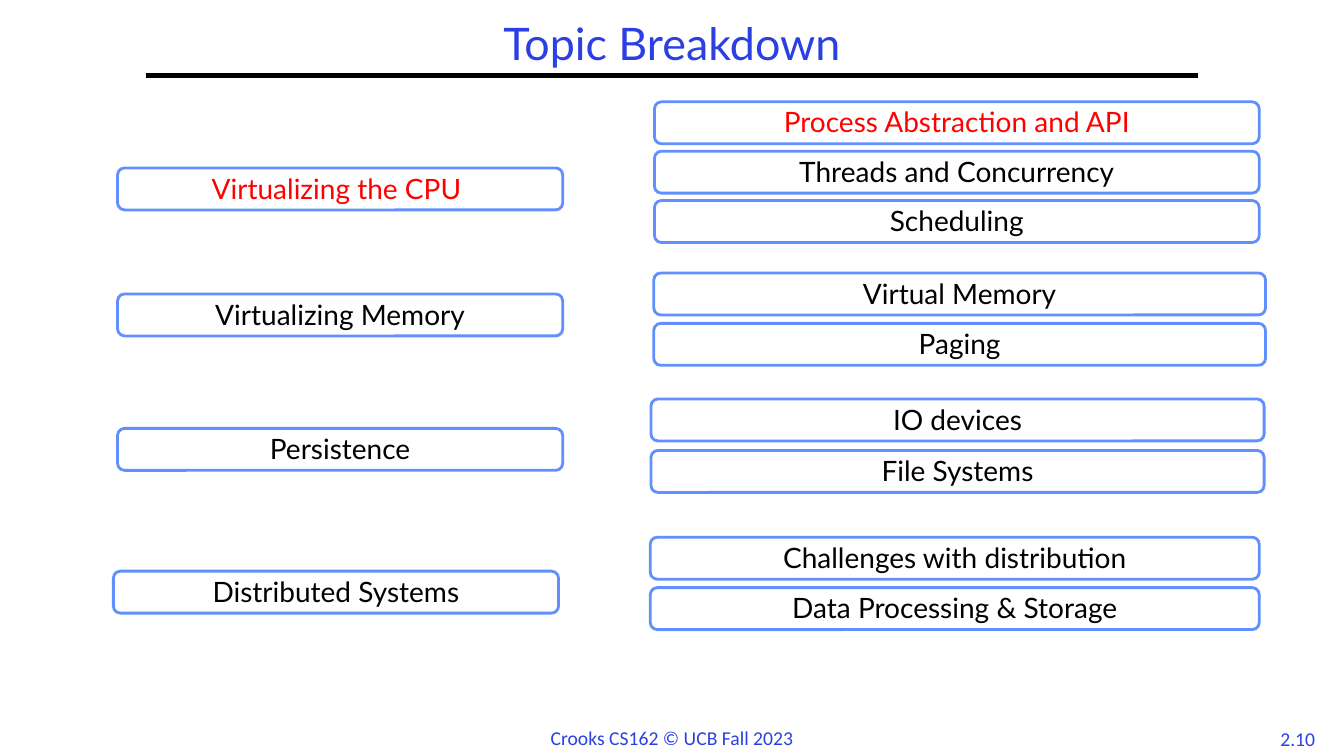
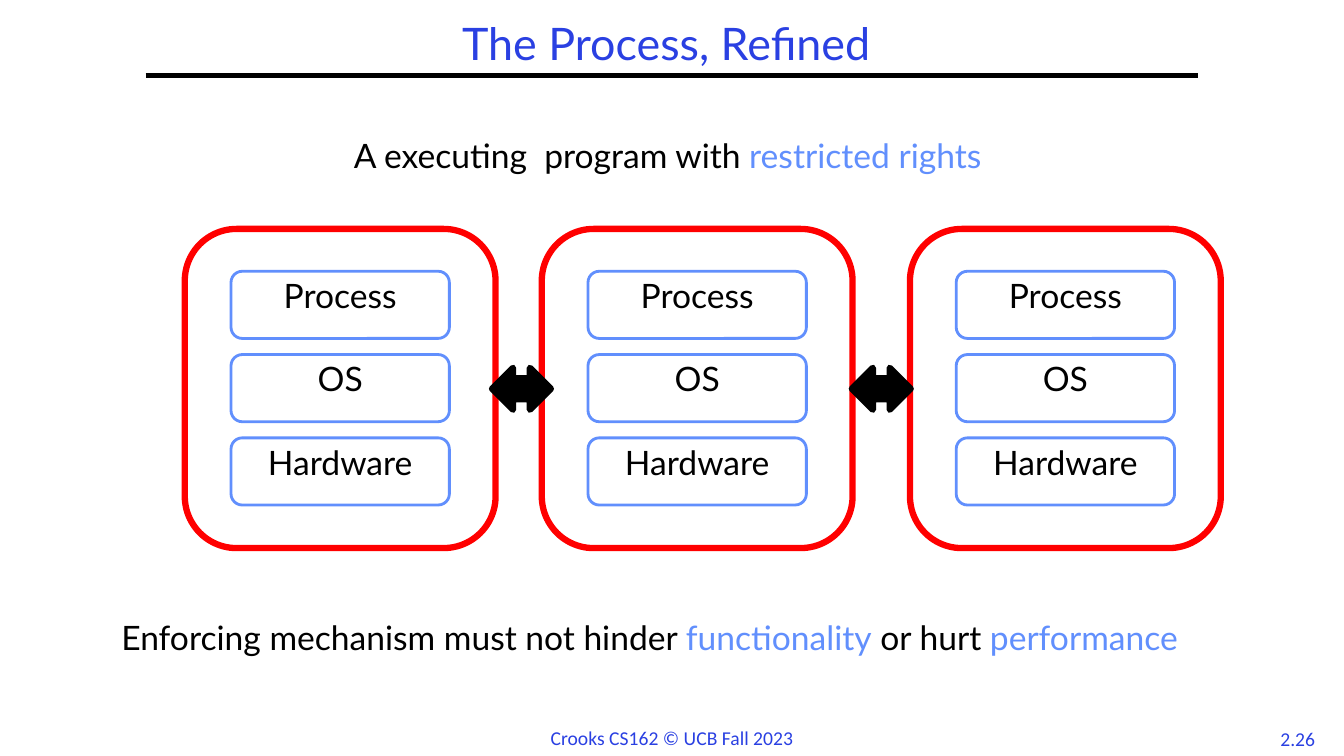
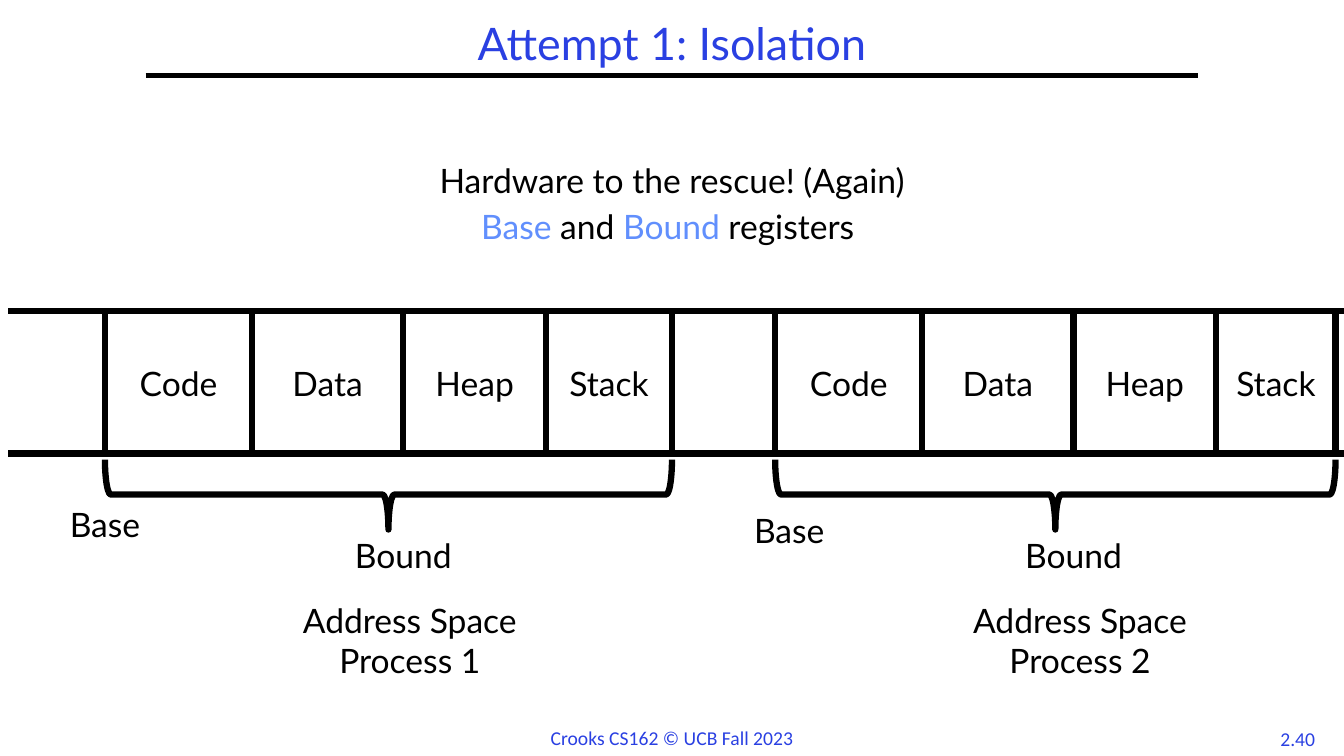
from itertools import pairwise

from pptx import Presentation
from pptx.dml.color import RGBColor
from pptx.enum.shapes import MSO_CONNECTOR, MSO_SHAPE as Preset
from pptx.enum.text import MSO_ANCHOR as Anchor, PP_ALIGN as Align
from pptx.oxml.ns import qn
from pptx.util import Pt
from lxml.etree import SubElement

COLORS = {
    "ink": "000000",
    "paper": "FFFFFF",
    "title": "2A40E2",
    "accent": "618FFD",
    "alert": "FF0000",
}


def rgb(name):
    return RGBColor.from_string(COLORS[name])


class Deck:
    """Holds the lecture style and the slide being built."""

    heading_font = "Lato"
    footer_font = "Calibri"
    footer = "Crooks CS162 © UCB Fall 2023"

    def __init__(self, width, height):
        self.prs = Presentation()
        self.prs.slide_width, self.prs.slide_height = Pt(width), Pt(height)
        self.slide = None

    def new_slide(self, title, number):
        self.slide = self.prs.slides.add_slide(self.prs.slide_layouts[6])
        self.line(104, 54, 856, 54, 3)
        self.text(104, 12, 752, 42, [title], size=32, color="title", anchor=Anchor.MIDDLE)
        for left, top, width, words in ((385, 515, 190, self.footer), (906, 515.5, 42, number)):
            self.text(left, top, width, 24, [words], size=14, color="title",
                      font=self.footer_font, spacing=1, wrap=False)

    def fill_text(self, frame, paragraphs, size=24, color="ink", font=heading_font,
                  spacing=0.9, gap=0, anchor=Anchor.TOP, wrap=True):
        """A paragraph is a string, or a list of (text, colour) pairs."""
        frame.word_wrap = wrap
        frame.vertical_anchor = anchor
        for index, content in enumerate(paragraphs):
            paragraph = frame.add_paragraph() if index else frame.paragraphs[0]
            paragraph.alignment = Align.CENTER
            paragraph.line_spacing = spacing
            paragraph.space_before = Pt(gap if index else 0)
            paragraph.font.name, paragraph.font.size = font, Pt(size)
            pairs = [(content, color)] if isinstance(content, str) else content
            for words, run_color in pairs:
                run = paragraph.add_run()
                run.text = words
                run.font.color.rgb = rgb(run_color)

    def text(self, left, top, width, height, paragraphs, **style):
        box = self.slide.shapes.add_textbox(Pt(left), Pt(top), Pt(width), Pt(height))
        self.fill_text(box.text_frame, paragraphs, **style)

    def label(self, center, top, paragraphs, **style):
        width = 140
        self.text(center - width / 2, top, width, 36, paragraphs, **style)

    def shape(self, preset, left, top, width, height, outline, weight, fill="paper"):
        shape = self.slide.shapes.add_shape(preset, Pt(left), Pt(top), Pt(width), Pt(height))
        shape.shadow.inherit = False
        shape.fill.solid()
        shape.fill.fore_color.rgb = rgb(fill)
        shape.line.color.rgb = rgb(outline)
        shape.line.width = Pt(weight)
        return shape

    def box(self, left, top, width, height, words, **style):
        box = self.shape(Preset.ROUNDED_RECTANGLE, left, top, width, height, "accent", 2)
        self.fill_text(box.text_frame, [words], **style)

    def line(self, x1, y1, x2, y2, weight=4.5):
        line = self.slide.shapes.add_connector(
            MSO_CONNECTOR.STRAIGHT, Pt(x1), Pt(y1), Pt(x2), Pt(y2))
        line.line.color.rgb = rgb("ink")
        line.line.width = Pt(weight)
        SubElement(line._element.spPr, qn("a:effectLst"))

    def brace_below(self, start, end, top, depth):
        """A left brace turned to point down, spanning start to end."""
        span = end - start
        brace = self.shape(Preset.LEFT_BRACE, (start + end - depth) / 2,
                           top + (depth - span) / 2, depth, span, "ink", 4.5)
        brace.rotation = 270


def topic_breakdown(deck):
    deck.new_slide("Topic Breakdown", "2.10")
    current = {"Virtualizing the CPU ", "Process Abstraction and API"}

    # Topic, its left and top; then left, width, first top and pitch of its parts
    topics = [
        ("Virtualizing the CPU ", 84, 120, 467.5, 432, 72.75, 35.25,
         ["Process Abstraction and API", "Threads and Concurrency", "Scheduling"]),
        ("Virtualizing Memory", 84, 210, 467, 437, 195, 36, ["Virtual Memory", "Paging"]),
        ("Persistence", 84, 306, 465, 438, 285, 36.75, ["IO devices", "File Systems"]),
        ("Distributed Systems", 81, 408, 464.5, 435, 383.75, 36,
         ["Challenges with distribution", "Data Processing & Storage"]),
    ]
    for topic, left, top, part_left, part_width, first_top, pitch, parts in topics:
        entries = [(topic, left, top, 318)]
        entries += [(part, part_left, first_top + row * pitch, part_width)
                    for row, part in enumerate(parts)]
        for words, x, y, width in entries:
            deck.box(x, y, width, 30, words, size=20,
                     color="alert" if words in current else "ink")


def process_refined(deck):
    deck.new_slide("The Process, Refined ", "2.26")
    deck.text(64, 96, 832, 40, [[("A executing  program with ", "ink"),
                                 ("restricted rights ", "accent")]])
    deck.text(48, 440.5, 832, 40, [[("Enforcing mechanism must not hinder ", "ink"),
                                    ("functionality", "accent"), (" or hurt ", "ink"),
                                    ("performance", "accent")]])

    # Three isolated machines
    for machine_left in (132, 387, 650):
        deck.shape(Preset.ROUNDED_RECTANGLE, machine_left, 163.5, 222, 228, "alert", 4.5)
        for level, layer in enumerate(["Process", "OS", "Hardware"]):
            deck.box(machine_left + 33, 193.75 + level * 59.5, 156, 48, layer)

    # Communication between neighbours
    for arrow_left in (351.5, 608.5):
        deck.shape(Preset.LEFT_RIGHT_ARROW, arrow_left, 262.75, 42, 30, "ink", 4.5, "ink")


def isolation(deck):
    deck.new_slide("Attempt 1: Isolation", "2.40")
    deck.text(75, 114, 810, 67, [
        "Hardware to the rescue! (Again)",
        [("Base ", "accent"), ("and", "ink"), (" Bound ", "accent"), ("registers ", "ink")],
    ], gap=7)

    # Physical memory
    memory_top, memory_bottom = 222, 324
    for y in (memory_top, memory_bottom):
        deck.line(6, y, 960, y)

    # Address spaces: start, end, then centre and top of the base label
    spaces = [(75, 480, 75, 356.5), (553.75, 954, 563.75, 360.75)]
    for number, (start, end, base_center, base_top) in enumerate(spaces, 1):
        dividers = [start, start + 105, start + 213, start + 315, end]
        for x in dividers:
            deck.line(x, memory_top, x, memory_bottom)
        for segment, (x1, x2) in zip(["Code", "Data", "Heap", "Stack"], pairwise(dividers)):
            deck.label((x1 + x2) / 2, 259, [segment])
        deck.brace_below(start, end, 328.25, 50)
        deck.label(base_center, base_top, ["Base"], spacing=1)
        deck.label(start + 213, 378.75, ["Bound"], spacing=1)
        deck.text(start + 117.75, 424.75, 200, 66,
                  ["Address Space", f"Process {number}"], spacing=1)


def main():
    deck = Deck(960, 540)
    topic_breakdown(deck)
    process_refined(deck)
    isolation(deck)
    deck.prs.save("out.pptx")


if __name__ == "__main__":
    main()
